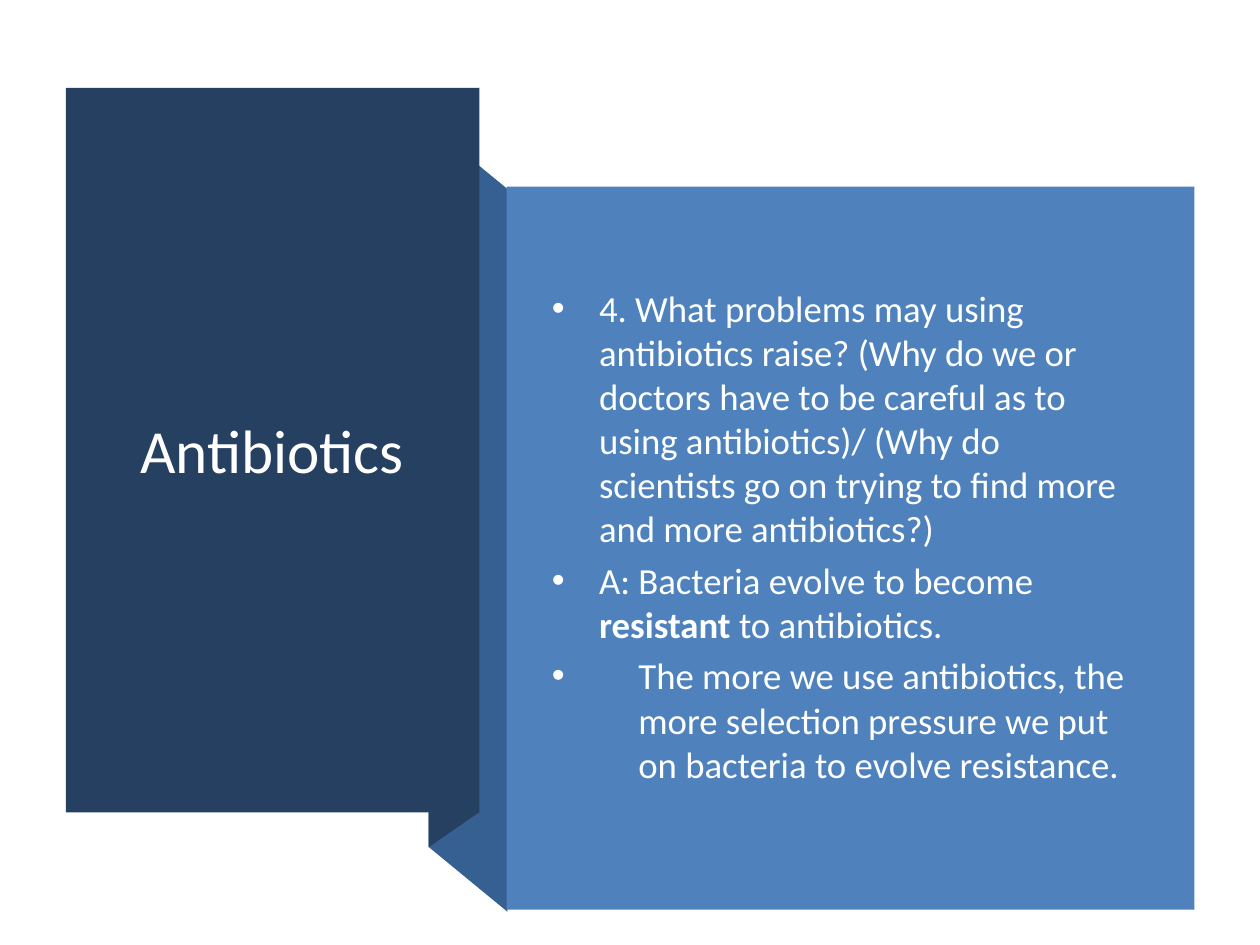
import pptx
import pptx.util
from lxml import etree
from pptx.dml.color import RGBColor
from pptx.enum.shapes import MSO_SHAPE
from pptx.enum.text import MSO_ANCHOR, PP_ALIGN
from pptx.oxml.ns import qn

Pt = pptx.util.Pt

NAVY = RGBColor(0x25, 0x40, 0x61)
MID_BLUE = RGBColor(0x37, 0x60, 0x92)
BLUE = RGBColor(0x4F, 0x81, 0xBD)
WHITE = RGBColor(0xFF, 0xFF, 0xFF)
OFF_WHITE = RGBColor(0xFE, 0xFF, 0xFF)
FONT = "Calibri"
TITLE_SIZE = 35
BODY_SIZE = 21

TITLE = "Antibiotics"
# Each bullet: hanging indent in points, then runs of (text, bold)
BULLETS = [
    (27, [("4. What problems may using antibiotics raise? (Why do we or doctors "
           "have to be careful as to using antibiotics)/ (Why do scientists go on "
           "trying to find more and more antibiotics?)", False)]),
    (27, [("A: Bacteria evolve to become ", False),
          ("resistant ", True),
          ("to antibiotics.", False)]),
    (49.5, [("The more we use antibiotics, the more selection pressure we put on "
             "bacteria to evolve resistance.", False)]),
]

# Outlines of the folded ribbon, from back to front
RIBBON = [
    (MID_BLUE, [(289.5, 520.8), (244.8, 484), (244.8, 71.2), (289.5, 108)]),
    (NAVY, [(273.6, 463.8), (244.8, 484.3), (244.8, 70.5), (273.6, 50)]),
]
TITLE_PANEL = (37.7, 50.2, 236, 414)
BODY_PANEL = (289.5, 106.6, 393, 413.3)
TITLE_BOX = (55.4, 77, 200.2, 359.3)
BODY_BOX = (308.2, 135.4, 351.4, 341.3)


def paint(shape, color):
    shape.shadow.inherit = False
    shape.fill.solid()
    shape.fill.fore_color.rgb = color
    shape.line.fill.background()


def add_panel(slide, box, color):
    paint(slide.shapes.add_shape(MSO_SHAPE.RECTANGLE, *map(Pt, box)), color)


def add_outline(slide, points, color):
    builder = slide.shapes.build_freeform(*points[0], scale=Pt(1))
    builder.add_line_segments(points[1:], close=True)
    paint(builder.convert_to_shape(), color)


def add_run(paragraph, text, size, color, bold=False):
    run = paragraph.add_run()
    run.text = text
    run.font.name = FONT
    run.font.size = Pt(size)
    run.font.bold = bold
    run.font.color.rgb = color


def set_bullet(paragraph, indent):
    properties = paragraph._p.get_or_add_pPr()
    properties.set("marL", str(Pt(indent)))
    properties.set("indent", str(-Pt(indent)))
    etree.SubElement(properties, qn("a:buFont"), typeface="Arial")
    etree.SubElement(properties, qn("a:buChar"), char="•")


def place_title(slide):
    title = slide.shapes.title
    title.left, title.top, title.width, title.height = map(Pt, TITLE_BOX)
    title.text_frame.word_wrap = True
    title.text_frame.vertical_anchor = MSO_ANCHOR.MIDDLE
    paragraph = title.text_frame.paragraphs[0]
    paragraph.alignment = PP_ALIGN.CENTER
    add_run(paragraph, TITLE, TITLE_SIZE, WHITE)
    # Bring the title in front of the panels
    title.element.getparent().append(title.element)


def add_body(slide):
    frame = slide.shapes.add_textbox(*map(Pt, BODY_BOX)).text_frame
    frame.word_wrap = True
    frame.vertical_anchor = MSO_ANCHOR.MIDDLE
    for index, (indent, runs) in enumerate(BULLETS):
        paragraph = frame.add_paragraph() if index else frame.paragraphs[0]
        set_bullet(paragraph, indent)
        if index:
            paragraph.space_before = Pt(0.2 * BODY_SIZE)
        for text, bold in runs:
            add_run(paragraph, text, BODY_SIZE, OFF_WHITE, bold)


def main():
    presentation = pptx.Presentation()
    presentation.slide_width, presentation.slide_height = Pt(720), Pt(540)
    slide = presentation.slides.add_slide(presentation.slide_layouts[5])
    for color, points in RIBBON:
        add_outline(slide, points, color)
    add_panel(slide, TITLE_PANEL, NAVY)
    place_title(slide)
    add_panel(slide, BODY_PANEL, BLUE)
    add_body(slide)
    presentation.save("out.pptx")


if __name__ == "__main__":
    main()
